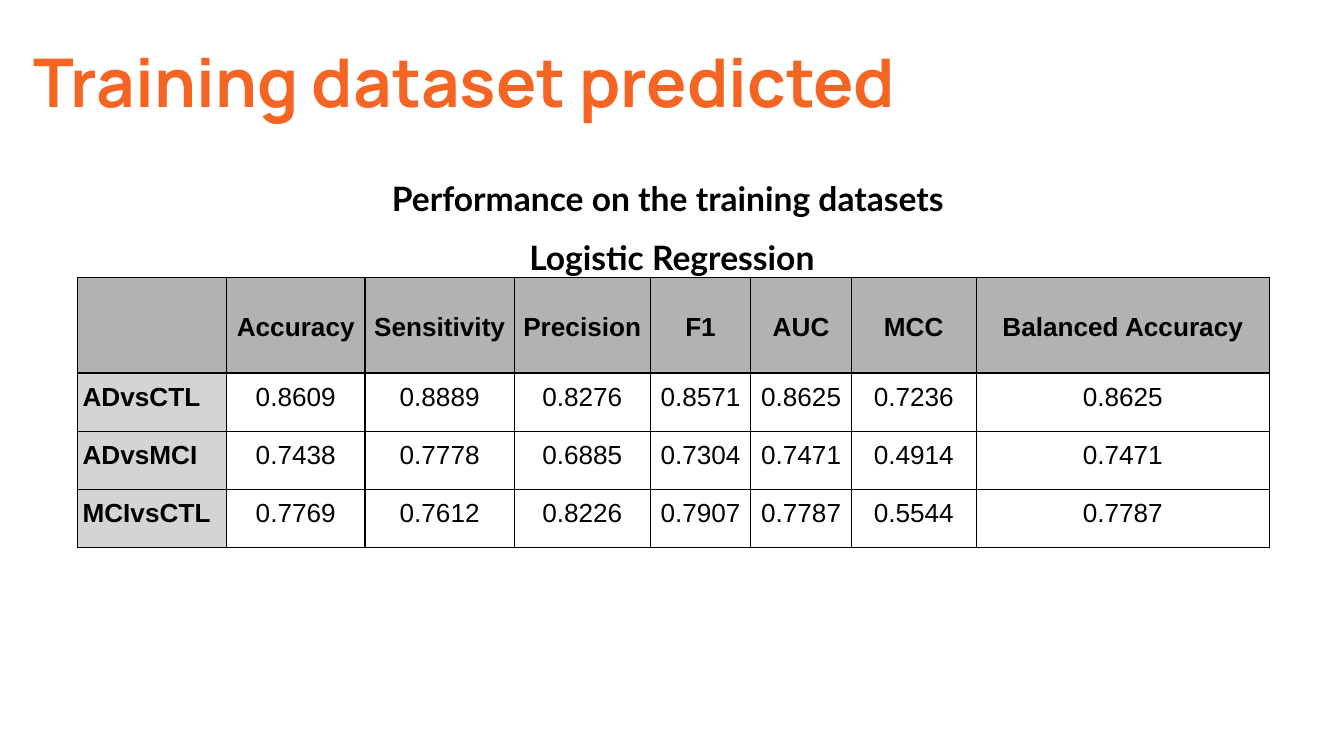
import dataclasses

import pptx
import pptx.dml.color
import pptx.enum.text
import pptx.oxml
import pptx.oxml.ns
import pptx.util

Cm = pptx.util.Cm
Pt = pptx.util.Pt
Align = pptx.enum.text.PP_ALIGN
Anchor = pptx.enum.text.MSO_ANCHOR


@dataclasses.dataclass
class Theme:
    accent: str = "F46524"
    ink: str = "000000"
    head: str = "B0B3B2"
    side: str = "D4D4D4"
    title: int = 36
    label: int = 18
    body: int = 14


theme = Theme()


def write(para, text, font="Arial", size=theme.body, color=theme.ink,
          bold=False, align=Align.LEFT, line=1.0, before=0):
    para.alignment = align
    para.line_spacing = line
    para.space_before = Pt(before)
    run = para.add_run()
    run.text = text
    run.font.name = font
    run.font.size = Pt(size)
    run.font.bold = bold
    run.font.color.rgb = pptx.dml.color.RGBColor.from_string(color)


def border(cell, color, width):
    props = cell._tc.get_or_add_tcPr()
    for spot, side in enumerate(("lnL", "lnR", "lnT", "lnB")):
        props.insert(spot, pptx.oxml.parse_xml(
            f'<a:{side} {pptx.oxml.ns.nsdecls("a")} w="{Pt(width)}">'
            f'<a:solidFill><a:srgbClr val="{color}"/></a:solidFill>'
            f'</a:{side}>'))


deck = pptx.Presentation()
deck.slide_width = Cm(25.4)
deck.slide_height = Cm(14.29)
slide = deck.slides.add_slide(deck.slide_layouts[5])

# Title
title = slide.shapes.title
title.left, title.top = Cm(0.38), Cm(0.46)
title.width, title.height = Cm(17.3), Cm(2.13)
frame = title.text_frame
frame.auto_size = pptx.enum.text.MSO_AUTO_SIZE.NONE
frame.vertical_anchor = Anchor.MIDDLE
frame.margin_left = frame.margin_right = Cm(0.25)
frame.margin_top = frame.margin_bottom = Cm(0.25)
write(frame.paragraphs[0], "Training dataset predicted", font="Manrope",
      size=theme.title, color=theme.accent, bold=True)

# Table of scores
rows = [
    ["", "Accuracy", "Sensitivity", "Precision", "F1", "AUC", "MCC",
     "Balanced Accuracy"],
    ["ADvsCTL", "0.8609", "0.8889", "0.8276", "0.8571", "0.8625", "0.7236",
     "0.8625"],
    ["ADvsMCI", "0.7438", "0.7778", "0.6885", "0.7304", "0.7471", "0.4914",
     "0.7471"],
    ["MCIvsCTL", "0.7769", "0.7612", "0.8226", "0.7907", "0.7787", "0.5544",
     "0.7787"],
]
widths = [2.82, 2.62, 2.82, 2.57, 1.9, 1.9, 2.36, 5.54]
heights = [1.8, 1.1, 1.1, 1.1]
table = slide.shapes.add_table(
    len(rows), len(widths), Cm(1.46), Cm(5.25),
    Cm(sum(widths)), Cm(sum(heights))).table
for col, width in zip(table.columns, widths):
    col.width = Cm(width)
for row, height in zip(table.rows, heights):
    row.height = Cm(height)

for r, row in enumerate(rows):
    for c, text in enumerate(row):
        cell = table.cell(r, c)
        cell.margin_left = cell.margin_right = Cm(0.1)
        cell.margin_top = cell.margin_bottom = Cm(0.1)
        cell.vertical_anchor = Anchor.TOP if r else Anchor.MIDDLE
        if r and c:
            cell.fill.background()
        else:
            cell.fill.solid()
            cell.fill.fore_color.rgb = pptx.dml.color.RGBColor.from_string(
                theme.side if r else theme.head)
        border(cell, theme.ink, 0.75)
        if text:
            write(cell.text_frame.paragraphs[0], text,
                  bold=r == 0 or c == 0, line=1.15,
                  align=Align.CENTER if c else Align.LEFT)

# Caption above the table
box = slide.shapes.add_textbox(Cm(4.98), Cm(2.31), Cm(15.44), Cm(5.72))
frame = box.text_frame
frame.word_wrap = True
frame.margin_left = frame.margin_right = Cm(0.25)
frame.margin_top = Cm(0.9)
look = dict(font="Lato", size=theme.label, bold=True, align=Align.CENTER,
            line=1.2)
write(frame.paragraphs[0], "Performance on the training datasets ", **look)
write(frame.add_paragraph(), "Logistic Regression", before=6, **look)

deck.save("out.pptx")
